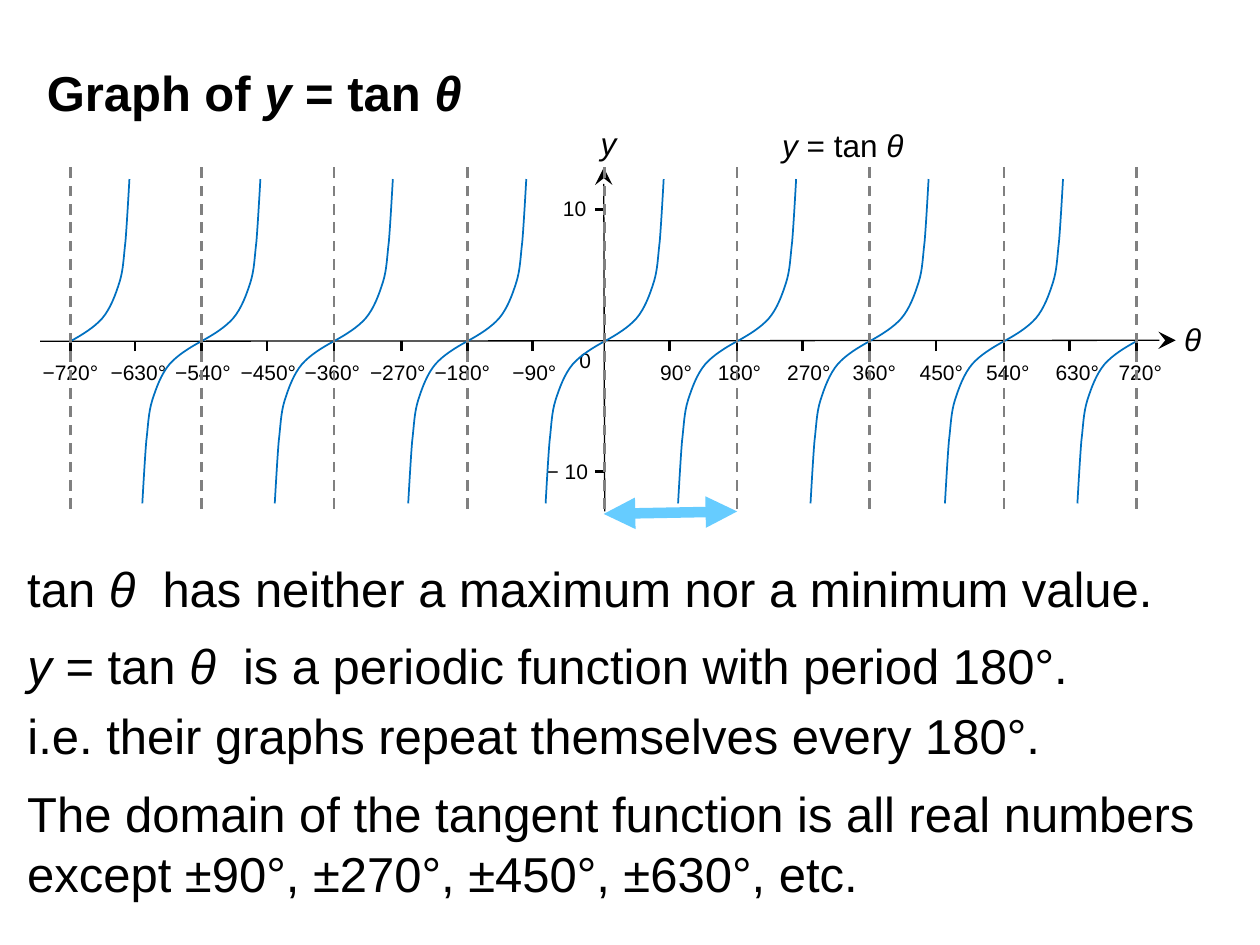
import pptx
import pptx.dml.color
import pptx.enum.dml
import pptx.enum.shapes
import pptx.enum.text
import pptx.oxml.ns
import pptx.util
from lxml import etree
from dataclasses import dataclass

Cm, Pt = pptx.util.Cm, pptx.util.Pt
qn = pptx.oxml.ns.qn


@dataclass(frozen=True)
class Theme:
    font: str = "Arial"
    ink: str = "000000"
    curve: str = "0070C0"
    guide: str = "808080"
    period: str = "66CCFF"
    heading: int = 28
    name: int = 18
    tick: int = 12
    leading: float = 1.21


THEME = Theme()

# Content: asterisks enclose italic text; lengths are in centimetres
TITLE = "Graph of *y* = tan *θ*"
PERIODIC = [
    "*y* = tan *θ * is a periodic function with period 180°.",
    "i.e. their graphs repeat themselves every 180°.",
]
REMARKS = [  # text, top, height
    ("tan *θ * has neither a maximum nor a minimum value.", 11.13, 1.45),
    ("The domain of the tangent function is all real numbers "
     "except ±90°, ±270°, ±450°, ±630°, etc.", 15.67, 2.64),
]
TEXT_LEFT, TEXT_WIDTH = 0.3, 24.56
ORIGIN = (12.19, 6.88)
ANGLES = {  # degrees: (tick x, label left)
    -720: (1.42, 0.61), -630: (2.72, 1.98), -540: (4.06, 3.28), -450: (5.38, 4.6),
    -360: (6.73, 5.89), -270: (8.1, 7.21), -180: (9.42, 8.51), -90: (10.74, 10.08),
    90: (13.49, 13.06), 180: (14.86, 14.22), 270: (16.18, 15.62), 360: (17.53, 16.94),
    450: (18.87, 18.29), 540: (20.24, 19.63), 630: (21.56, 21.03), 720: (22.91, 22.3),
}
VALUES = [4.22, 9.5]  # y of the ticks at 10 and −10
LABELS = [  # text, left, top, width, size
    ("10", 11.1, 3.81, 1.4, THEME.tick), ("− 10", 10.77, 9.12, 1.55, THEME.tick),
    ("0", 11.43, 6.88, 0.97, THEME.tick), ("*θ*", 23.62, 6.32, 0.89, THEME.name),
    ("*y*", 11.86, 2.36, 0.97, THEME.name), ("*y* = tan *θ*", 15.52, 2.41, 3.56, THEME.name),
]
# Bézier segments of one branch, measured from its zero: two controls and an end
BRANCH = [
    (0.24, 0.13), (0.48, 0.28), (0.64, 0.46),
    (0.81, 0.66), (0.91, 0.94), (0.99, 1.19),
    (1.07, 1.45), (1.07, 1.68), (1.11, 2.01),
    (1.14, 2.36), (1.19, 3.27), (1.19, 3.27),
]
GUIDE_TOP, GUIDE_BOTTOM = 3.35, 10.26
TICK = 0.2


def colour(code):
    return pptx.dml.color.RGBColor.from_string(code)


def write(frame, text, *, size, bold=False, after=0, first=True):
    """Add one left-aligned paragraph, with italics between asterisks."""
    para = frame.paragraphs[0] if first else frame.add_paragraph()
    para.alignment = pptx.enum.text.PP_ALIGN.LEFT
    para.line_spacing = Pt(size * THEME.leading)
    para.space_before, para.space_after = Pt(0), Pt(after)
    for index, part in enumerate(text.split("*")):
        if part:
            span = para.add_run()
            span.text = part
            span.font.name, span.font.size = THEME.font, Pt(size)
            span.font.bold, span.font.italic = bold, index % 2 == 1
            span.font.color.rgb = colour(THEME.ink)
    return para


def place(box, left, top, width, height):
    box.left, box.top, box.width, box.height = map(Cm, (left, top, width, height))
    frame = box.text_frame
    frame.word_wrap = True
    frame.auto_size = pptx.enum.text.MSO_AUTO_SIZE.NONE
    frame.vertical_anchor = pptx.enum.text.MSO_ANCHOR.TOP
    return frame


def add_label(page, text, left, top, width, size, height=0.76):
    box = page.shapes.add_textbox(0, 0, 0, 0)
    write(place(box, left, top, width, height), text, size=size)


def add_line(page, start, end, *, ink=THEME.ink, width=1.5, dash=False,
             head=None, tail=None, tip="med"):
    line = page.shapes.add_connector(
        pptx.enum.shapes.MSO_CONNECTOR.STRAIGHT, *map(Cm, start + end))
    line.line.color.rgb = colour(ink)
    line.line.width = Pt(width)
    if dash:
        line.line.dash_style = pptx.enum.dml.MSO_LINE.DASH
    properties = line._element.spPr
    for tag, kind in (("a:headEnd", head), ("a:tailEnd", tail)):
        if kind:
            etree.SubElement(properties.find(qn("a:ln")), qn(tag), type=kind, w=tip, len=tip)
    etree.SubElement(properties, qn("a:effectLst"))


def add_branch(page, zero, sign):
    """Draw the branch that rises (sign 1) or falls (sign -1) from its zero."""
    builder = page.shapes.build_freeform(Cm(zero), Cm(ORIGIN[1]))
    builder.add_line_segments(
        [(Cm(zero + sign * x), Cm(ORIGIN[1] - sign * y)) for x, y in BRANCH], close=False)
    curve = builder.convert_to_shape()
    # Every three points become one Bézier segment
    lines = list(curve._element.iter(qn("a:lnTo")))
    for index in range(0, len(lines), 3):
        outline = lines[index].getparent()
        segment = etree.SubElement(outline, qn("a:cubicBezTo"))
        for line in lines[index:index + 3]:
            segment.append(line[0])
            outline.remove(line)
    curve.shadow.inherit = False
    curve.fill.background()
    curve.line.color.rgb = colour(THEME.curve)
    curve.line.width = Pt(1)


def add_graph(page):
    # Axes
    zero_x, zero_y = ORIGIN
    add_line(page, (0.81, zero_y), (23.7, 6.86), width=0.75, tail="stealth", tip="lg")
    add_line(page, (zero_x, 10.31), (12.17, 3.38), width=0.75, tail="stealth", tip="lg")
    # Ticks and labels
    for y in VALUES:
        add_line(page, (zero_x, y), (zero_x - TICK, y))
    for degrees, (x, left) in ANGLES.items():
        add_line(page, (x, zero_y + TICK), (x, zero_y))
        add_label(page, f"{degrees}°".replace("-", "−"), left, 7.11, 2.08, THEME.tick)
    for label in LABELS:
        add_label(page, *label)
    # Branches and guides at every multiple of the period
    zeros = sorted([zero_x] + [x for degrees, (x, _) in ANGLES.items() if degrees % 180 == 0])
    for x in zeros[:-1]:
        add_branch(page, x, 1)
    for x in zeros[1:]:
        add_branch(page, x, -1)
    for x in zeros:
        add_line(page, (x, GUIDE_BOTTOM), (x, GUIDE_TOP), ink=THEME.guide, dash=True)
    # One period
    add_line(page, (12.17, 10.36), (ANGLES[180][0], 10.31), ink=THEME.period, width=6,
             head="triangle", tail="triangle")


def main():
    deck = pptx.Presentation()
    deck.slide_width, deck.slide_height = Cm(25.4), Cm(19.05)
    page = deck.slides.add_slide(deck.slide_layouts[1])
    # Title
    write(place(page.shapes.title, 0.69, 1.12, 11.56, 1.45), TITLE,
          size=THEME.heading, bold=True)
    # Statements
    frame = place(page.placeholders[1], TEXT_LEFT, 12.67, TEXT_WIDTH, 2.87)
    for index, text in enumerate(PERIODIC):
        para = write(frame, text, size=THEME.heading, after=6, first=index == 0)
        properties = para._p.get_or_add_pPr()
        properties.set("marL", "0")
        properties.set("indent", "0")
        etree.SubElement(properties, qn("a:buNone"))
    for text, top, height in REMARKS:
        add_label(page, text, TEXT_LEFT, top, TEXT_WIDTH, THEME.heading, height)
    add_graph(page)
    deck.save("out.pptx")


if __name__ == "__main__":
    main()
